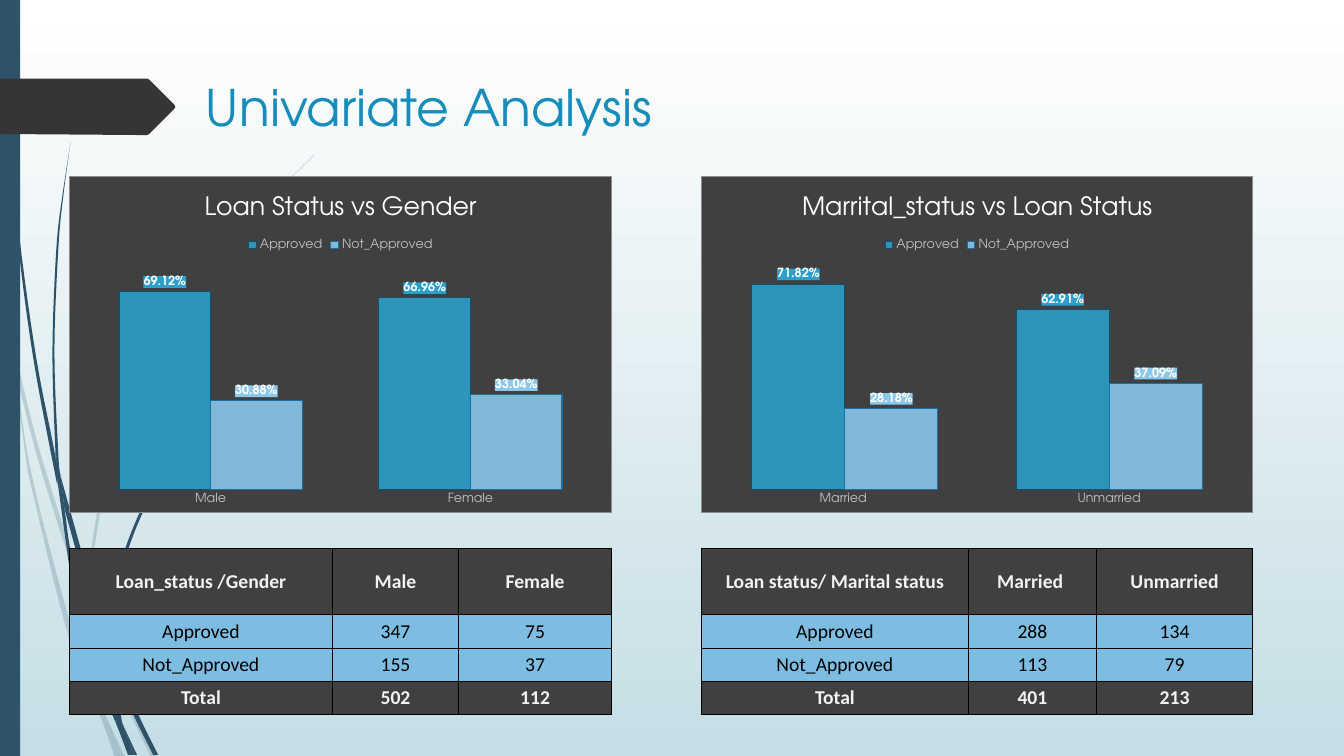
import pptx
import pptx.chart.data
import pptx.dml.color
import pptx.enum.chart
import pptx.enum.shapes
import pptx.enum.text
import pptx.oxml
import pptx.oxml.ns
import pptx.util

Pt = pptx.util.Pt
HUNDREDTH_INCH = 0.72
STEPS = 6

PALE_BLADES = [
    ([(0, 282), (9, 322), (11, 350)], [(10, 344), (0, 299)]),
    ([(14, 345), (36, 435), (62, 520), (85, 586)], [(84, 599), (58, 522), (36, 450), (17, 376)]),
    ([(88, 596), (92, 607), (127, 692), (155, 751)], [(150, 751), (123, 694), (88, 610)]),
    ([(105, 711), (124, 751)], [(119, 751)]),
    ([(11, 350), (17, 376), (31, 469), (70, 619), (93, 683), (101, 714)], [(92, 693), (65, 621), (28, 470)]),
    ([(84, 599), (88, 610), (91, 646), (105, 711)], [(96, 692), (93, 683), (87, 646)]),
    ([(312, 153), (268, 197), (228, 244), (158, 348), (107, 461), (85, 584), (85, 586)],
     [(88, 596), (88, 584), (110, 462), (160, 349), (229, 245), (268, 198), (312, 154)]),
    ([(101, 714), (119, 751)], [(114, 751)]),
    ([(85, 586), (88, 596), (88, 610)], [(84, 599)]),
    ([(93, 683), (96, 692), (105, 711), (119, 751)], [(101, 714), (99, 707)]),
]
DARK_BLADES = [
    ([(4, 0), (5, 48), (8, 109), (19, 232), (36, 355), (55, 453), (57, 481)],
     [(56, 477), (33, 355), (17, 233), (7, 110), (4, 48), (3, 0)]),
    ([(60, 472), (93, 590), (106, 631), (106, 645)], [(88, 592), (64, 505)]),
    ([(110, 641), (113, 649), (136, 706), (157, 749)], [(152, 749), (132, 708), (111, 656)]),
    ([(57, 477), (64, 505), (72, 556), (98, 657), (110, 691), (117, 722)], [(111, 708), (93, 659), (68, 557)]),
    ([(70, 141), (63, 193), (58, 245), (54, 349), (58, 453), (60, 472)],
     [(55, 449), (52, 349), (56, 245), (62, 193)]),
    ([(122, 719), (136, 749)], [(133, 749)]),
    ([(55, 449), (60, 472), (64, 505)], [(57, 477), (55, 453)]),
    ([(260, 344), (231, 373), (204, 405), (156, 474), (122, 551), (106, 631)],
     [(110, 641), (111, 633), (125, 552), (158, 476), (205, 406), (231, 374), (261, 344)]),
    ([(117, 722), (131, 749)], [(127, 749)]),
    ([(106, 645), (111, 656), (121, 716), (122, 719)], [(116, 706), (110, 691)]),
    ([(106, 631), (110, 641), (111, 656)], [(106, 645), (106, 633)]),
    ([(110, 691), (122, 719), (133, 749)], [(130, 749), (117, 722), (116, 717)]),
]
ARROW = [(0, 78), (146, 78), (148, 79), (173, 104), (174, 106), (173, 108), (148, 133), (146, 134), (136, 134), (0, 133)]


def color(value):
    """Turn a hex string into a colour."""
    return pptx.dml.color.RGBColor.from_string(value)


def xml(text):
    """Read a drawing or chart fragment."""
    return pptx.oxml.parse_xml(f'<a:r {pptx.oxml.ns.nsdecls("a", "c")}>{text}</a:r>')[0]


def solid(value):
    """Give the markup of a solid fill."""
    return f'<a:solidFill><a:srgbClr val="{value}"/></a:solidFill>'


def set_alpha(element, percent):
    """Make the first solid fill of an element see-through."""
    rgb = next(element.iter(pptx.oxml.ns.qn("a:srgbClr")))
    rgb.append(xml(f'<a:alpha val="{percent * 1000}"/>'))


def smooth(points):
    """Run a smooth curve through the points."""
    padded = [points[0], *points, points[-1]]
    curve = [points[0]]
    for a, b, c, d in zip(padded, padded[1:], padded[2:], padded[3:]):
        for step in range(1, STEPS + 1):
            t = step / STEPS
            curve.append(tuple(
                (2 * q + (r - p) * t + (2 * p - 5 * q + 4 * r - s) * t**2 + (3 * q - p - 3 * r + s) * t**3) / 2
                for p, q, r, s in zip(a, b, c, d)))
    return curve


class Deck:
    """Holds the style and the current slide."""

    font = "TeX Gyre Adventor"
    table_font = "Calibri"
    navy, charcoal, sky = "2E5369", "404040", "7CBDE1"

    def __init__(self, slide):
        self.slide = slide

    def style(self, font, size, value, name=None, bold=False):
        font.name, font.size, font.bold = name or self.font, Pt(size), bold
        font.color.rgb = color(value)

    def background(self, top, bottom):
        fill = self.slide.background.fill
        fill.gradient()
        fill.gradient_angle = 270
        for stop, value in zip(fill.gradient_stops, (top, bottom)):
            stop.color.rgb = color(value)

    def paint(self, shape, value):
        shape.shadow.inherit = False
        shape.fill.solid()
        shape.fill.fore_color.rgb = color(value)
        shape.line.fill.background()

    def outline(self, points, value, alpha=100):
        units = [(round(x * 100), round(y * 100)) for x, y in points]
        builder = self.slide.shapes.build_freeform(*units[0], scale=Pt(HUNDREDTH_INCH) / 100)
        builder.add_line_segments(units[1:], close=True)
        shape = builder.convert_to_shape()
        self.paint(shape, value)
        if alpha < 100:
            set_alpha(shape.fill._xPr, alpha)

    def bar(self, left, top, width, height):
        kind = pptx.enum.shapes.MSO_SHAPE.RECTANGLE
        self.paint(self.slide.shapes.add_shape(kind, Pt(left), Pt(top), Pt(width), Pt(height)), self.navy)

    def title(self, text, left, top, width, height):
        shape = self.slide.shapes.title
        shape.left, shape.top, shape.width, shape.height = Pt(left), Pt(top), Pt(width), Pt(height)
        frame = shape.text_frame
        frame.text = text
        frame.vertical_anchor = pptx.enum.text.MSO_ANCHOR.TOP
        frame.auto_size = pptx.enum.text.MSO_AUTO_SIZE.NONE
        frame.paragraphs[0].alignment = pptx.enum.text.PP_ALIGN.LEFT
        self.style(frame.paragraphs[0].font, 36, "178DBB")

    def chart(self, title, categories, approved, refused, left, top, width, height):
        data = pptx.chart.data.CategoryChartData(number_format="0.00%")
        data.categories = categories
        data.add_series("Approved", approved)
        data.add_series("Not_Approved", refused)
        kind = pptx.enum.chart.XL_CHART_TYPE.COLUMN_CLUSTERED
        chart = self.slide.shapes.add_chart(kind, Pt(left), Pt(top), Pt(width), Pt(height), data).chart
        self.style(chart.font, 10, "000000")
        chart._chartSpace.find(pptx.oxml.ns.qn("c:txPr")).addprevious(xml(
            f'<c:spPr>{solid(self.charcoal)}<a:ln w="{Pt(0.5)}">{solid("8C8C8C")}</a:ln></c:spPr>'))
        chart.chart_title.text_frame.text = title
        self.style(chart.chart_title.text_frame.paragraphs[0].font, 18, "FFFFFF")
        chart.chart_title.include_in_layout = False
        chart.has_legend = True
        chart.legend.position = pptx.enum.chart.XL_LEGEND_POSITION.TOP
        chart.legend.include_in_layout = False
        self.style(chart.legend.font, 9, "BFBFBF")
        axis = chart.category_axis
        axis.major_tick_mark = pptx.enum.chart.XL_TICK_MARK.NONE
        axis.format.line.fill.background()
        self.style(axis.tick_labels.font, 9, "BFBFBF")
        values = chart.value_axis
        values.visible = values.has_major_gridlines = False
        values.minimum_scale, values.maximum_scale = 0, 0.8
        plot = chart.plots[0]
        plot.gap_width, plot.overlap, plot.vary_by_categories = 84, 0, False
        area = chart._chartSpace.chart.plotArea
        for layout in area.findall(pptx.oxml.ns.qn("c:layout")):
            area.remove(layout)
        box = "".join(f'<c:{name} val="{size}"/>' for name, size in zip("xywh", (0.02, 0.25, 0.96, 0.68)))
        area.insert(0, xml('<c:layout><c:manualLayout><c:layoutTarget val="inner"/><c:xMode val="edge"/>'
                           f'<c:yMode val="edge"/>{box}</c:manualLayout></c:layout>'))
        for series, fill, line in zip(plot.series, ("2BA0CC", "8BC9EC"), ("165066", "1A70A1")):
            series.format.fill.solid()
            series.format.fill.fore_color.rgb = color(fill)
            set_alpha(series.format.fill._xPr, 88)
            series.format.line.color.rgb = color(line)
            series.format.line.width = Pt(0.75)
            labels = series.data_labels
            labels.show_value = True
            labels.number_format, labels.number_format_is_linked = "0.00%", False
            labels.position = pptx.enum.chart.XL_LABEL_POSITION.OUTSIDE_END
            self.style(labels.font, 9, "FFFFFF", bold=True)
            labels._element.find(pptx.oxml.ns.qn("c:txPr")).addprevious(xml(f"<c:spPr>{solid(fill)}</c:spPr>"))

    def table(self, rows, widths, left, top):
        heights = [47.52] + [23.76] * (len(rows) - 1)
        table = self.slide.shapes.add_table(
            len(rows), len(widths), Pt(left), Pt(top), Pt(sum(widths)), Pt(sum(heights))).table
        table.first_row = table.horz_banding = False
        for column, width in zip(table.columns, widths):
            column.width = Pt(width)
        for index, (row, height, texts) in enumerate(zip(table.rows, heights, rows)):
            row.height = Pt(height)
            strong = index in (0, len(rows) - 1)
            for cell, text in zip(row.cells, texts):
                cell.text = text
                cell.vertical_anchor = pptx.enum.text.MSO_ANCHOR.MIDDLE
                cell.margin_left = cell.margin_right = cell.margin_top = Pt(0.72)
                cell.margin_bottom = 0
                paragraph = cell.text_frame.paragraphs[0]
                paragraph.alignment = pptx.enum.text.PP_ALIGN.CENTER
                self.style(paragraph.font, 14, "F2F2F2" if strong else "000000", self.table_font, strong)
                for side in "LRTB":
                    cell._tc.get_or_add_tcPr().append(
                        xml(f'<a:ln{side} w="{Pt(0.5)}">{solid("000000")}</a:ln{side}>'))
                cell.fill.solid()
                cell.fill.fore_color.rgb = color(self.charcoal if strong else self.sky)


def main():
    presentation = pptx.Presentation()
    presentation.slide_width, presentation.slide_height = Pt(960), Pt(540)
    deck = Deck(presentation.slides.add_slide(presentation.slide_layouts[5]))
    deck.background("FFFFFF", "C5DEE5")
    for blades, alpha in ((PALE_BLADES, 20), (DARK_BLADES, 100)):
        for down, up in blades:
            deck.outline(smooth(down) + smooth(up), deck.navy, alpha)
    deck.bar(0, 0, 14.4, 540)
    deck.outline(ARROW, "353535")
    deck.title("Univariate Analysis", 139.68, 50.4, 702, 100.8)
    panels = [
        (49.6, (187.92, 90, 109.44), "Loan Status vs Gender", "Loan_status /Gender",
         ("Male", "Female"), (0.6912, 0.6696), (0.3088, 0.3304), ("347", "75"), ("155", "37"), ("502", "112")),
        (501, (190.8, 91.44, 111.6), "Marrital_status vs Loan Status", "Loan status/ Marital status",
         ("Married ", "Unmarried"), (0.7182, 0.6291), (0.2818, 0.3709), ("288", "134"), ("113", "79"), ("401", "213")),
    ]
    for left, widths, title, corner, groups, approved, refused, *counts in panels:
        deck.chart(title, groups, approved, refused, left, 126, sum(widths), 240.48)
        names = (corner, "Approved", "Not_Approved", "Total")
        rows = [(name, *cells) for name, cells in zip(names, [groups, *counts])]
        deck.table(rows, widths, left, 391.5)
    presentation.save("out.pptx")


if __name__ == "__main__":
    main()
